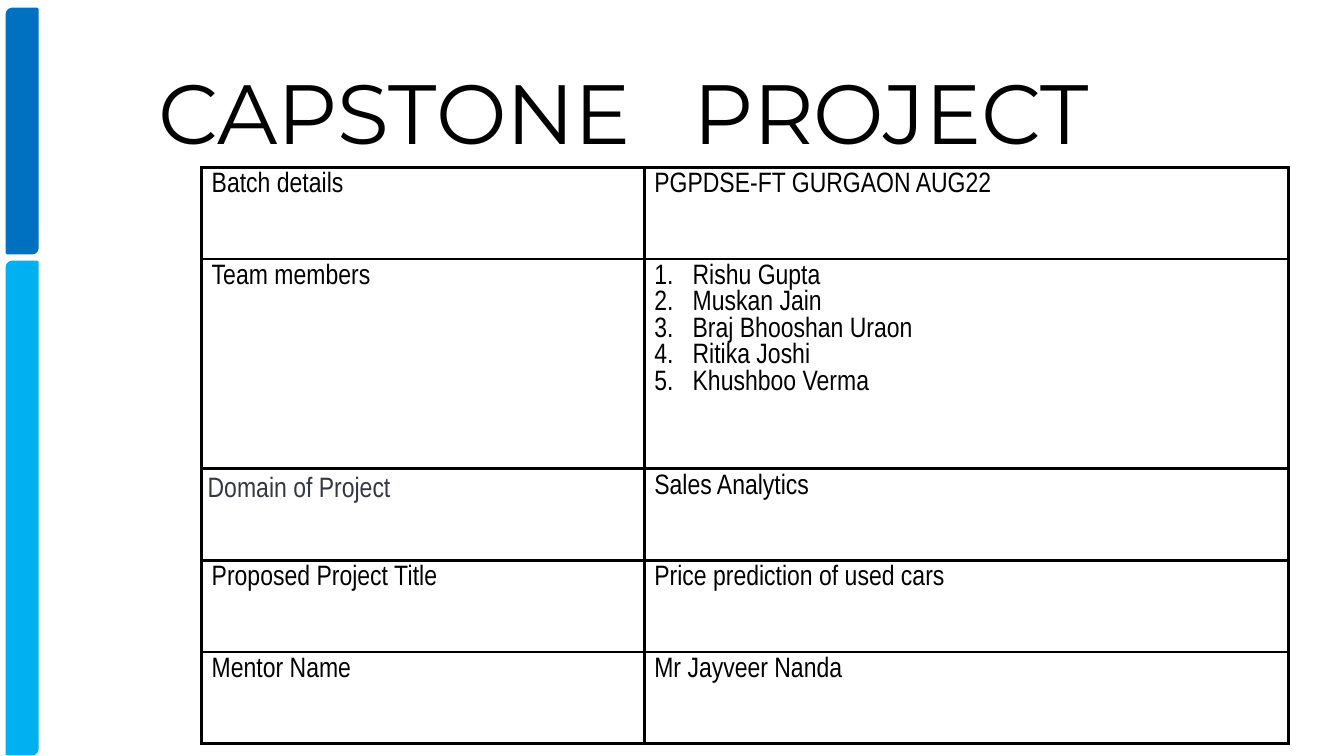
from dataclasses import dataclass

from lxml import etree
from pptx import Presentation
from pptx.dml.color import RGBColor
from pptx.enum.shapes import MSO_SHAPE
from pptx.enum.text import MSO_ANCHOR, PP_ALIGN
from pptx.oxml.ns import qn
from pptx.util import Inches, Pt


@dataclass(frozen=True)
class Theme:
    title_font: str = "Montserrat"
    body_font: str = "Arial Narrow"
    title_size: int = 60
    body_size: int = 20
    black: str = "000000"
    slate: str = "353744"
    blue: str = "0070C0"
    sky: str = "00B0F0"


T = Theme()


def format_font(font, name, size, color):
    font.name = name
    font.size = Pt(size)
    font.color.rgb = RGBColor.from_string(color)


def add_borders(cell, color, width):
    tcPr = cell._tc.get_or_add_tcPr()
    for side in ("a:lnL", "a:lnR", "a:lnT", "a:lnB"):
        ln = etree.SubElement(tcPr, qn(side), w=str(Pt(width)))
        fill = etree.SubElement(ln, qn("a:solidFill"))
        etree.SubElement(fill, qn("a:srgbClr"), val=color)


prs = Presentation()
prs.slide_width, prs.slide_height = Inches(13.33), Inches(7.5)
s = prs.slides.add_slide(prs.slide_layouts[5])

# Side bars
for top, height, color in ((0.09, 2.42, T.blue), (2.6, 4.88, T.sky)):
    bar = s.shapes.add_shape(MSO_SHAPE.ROUND_2_DIAG_RECTANGLE,
                             Inches(0.07), Inches(top), Inches(0.3), Inches(height))
    bar.shadow.inherit = False
    bar.fill.solid()
    bar.fill.fore_color.rgb = RGBColor.from_string(color)
    bar.line.color.rgb = RGBColor.from_string(color)
    bar.line.width = Pt(2)

# Project details table
members = ["Rishu Gupta", "Muskan Jain", "Braj Bhooshan Uraon", "Ritika Joshi", "Khushboo Verma"]
details = [
    ("Batch details", "PGPDSE-FT GURGAON AUG22"),
    ("Team members", "\n".join(members)),
    ("Domain of Project", "Sales Analytics"),
    ("Proposed Project Title", "Price prediction of used cars"),
    ("Mentor Name", "Mr Jayveer Nanda"),
]
table = s.shapes.add_table(len(details), 2, Inches(2), Inches(1.66),
                           Inches(10.78), Inches(5.72)).table
table.first_row = table.horz_banding = False
for col, width in zip(table.columns, (4.39, 6.39)):
    col.width = Inches(width)
for row, texts in zip(table.rows, details):
    row.height = Inches(2.08 if texts[0] == "Team members" else 0.91)
    for cell, text in zip(row.cells, texts):
        add_borders(cell, T.black, 2.25)
        cell.fill.background()
        cell.text_frame.text = text
        for p in cell.text_frame.paragraphs:
            if p.text in members:
                pPr = p._p.get_or_add_pPr()
                pPr.set("marL", str(Inches(0.38)))
                pPr.set("indent", str(-Inches(0.38)))
                etree.SubElement(pPr, qn("a:buFont"), typeface="+mj-lt")
                etree.SubElement(pPr, qn("a:buAutoNum"), type="arabicPeriod")
            for r in p.runs:
                format_font(r.font, T.body_font, T.body_size, T.black)

# Domain label has its own margins and spacing
domain = table.cell(2, 0)
domain.margin_left = domain.margin_right = Inches(0.06)
domain.margin_top = domain.margin_bottom = Inches(0.06)
p = domain.text_frame.paragraphs[0]
p.alignment = PP_ALIGN.JUSTIFY
p.line_spacing = 1.07
p.space_after = Pt(8)
p.runs[0].font.color.rgb = RGBColor.from_string(T.slate)

# Title, with a tab stop between the two words
title = s.shapes.title
title.left, title.top = Inches(1.47), Inches(0.55)
title.width, title.height = Inches(11.67), Inches(1.11)
tf = title.text_frame
tf.word_wrap = True
tf.vertical_anchor = MSO_ANCHOR.MIDDLE
tf.text = "CAPSTONE\tPROJECT"
p = tf.paragraphs[0]
p.alignment = PP_ALIGN.LEFT
tabs = etree.SubElement(p._p.get_or_add_pPr(), qn("a:tabLst"))
etree.SubElement(tabs, qn("a:tab"), pos=str(Inches(5.31)), algn="l")
format_font(p.runs[0].font, T.title_font, T.title_size, T.black)

prs.save("out.pptx")
